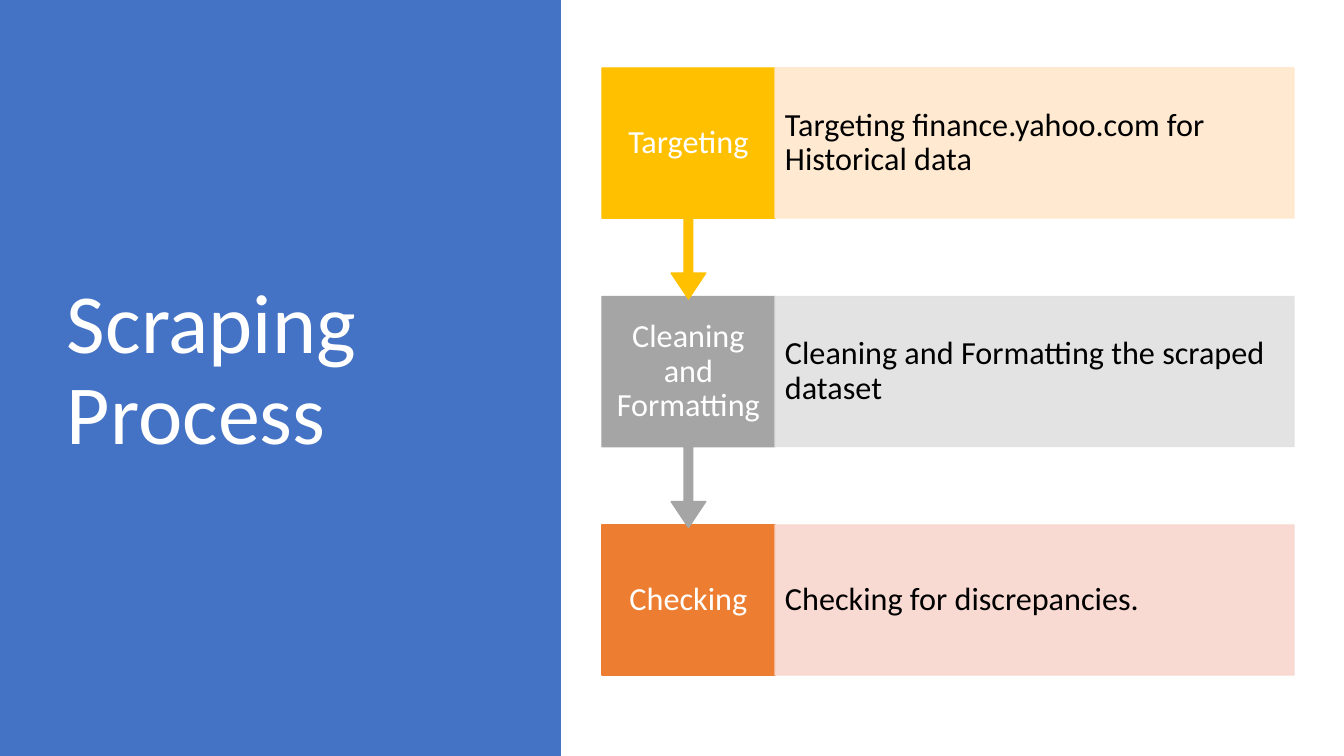
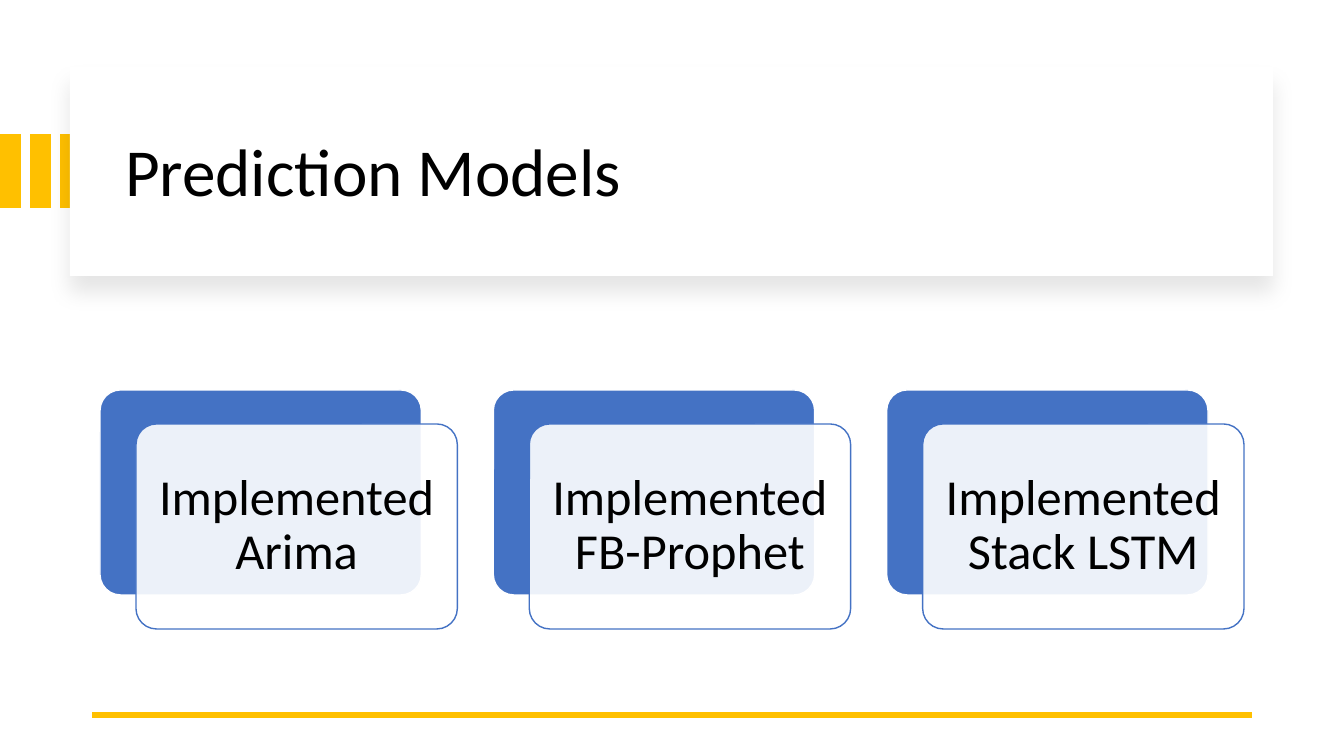
from dataclasses import dataclass

from lxml import etree
from pptx import Presentation
from pptx.dml.color import RGBColor
from pptx.enum.shapes import MSO_CONNECTOR, MSO_SHAPE
from pptx.enum.text import MSO_ANCHOR, MSO_AUTO_SIZE, PP_ALIGN
from pptx.oxml.ns import qn
from pptx.util import Emu, Pt

RECT = MSO_SHAPE.RECTANGLE
ROUND_RECT = MSO_SHAPE.ROUNDED_RECTANGLE
ARROW_BOX = MSO_SHAPE.DOWN_ARROW_CALLOUT
STRAIGHT = MSO_CONNECTOR.STRAIGHT
MIDDLE = MSO_ANCHOR.MIDDLE
LEFT, CENTER = PP_ALIGN.LEFT, PP_ALIGN.CENTER
NO_FIT = MSO_AUTO_SIZE.NONE

PX_PER_INCH = 100.8
SLIDE_W, SLIDE_H = 1344, 756
TITLE_ONLY = 5


@dataclass(frozen=True)
class Theme:
    font: str = "Calibri"
    blue: str = "4472C4"
    gold: str = "FFC000"
    grey: str = "A5A5A5"
    orange: str = "ED7D31"
    pale_gold: str = "FFE8CC"
    pale_grey: str = "E1E1E1"
    pale_orange: str = "F8D7CE"
    white: str = "FFFFFF"
    black: str = "000000"
    side_title: int = 60
    top_title: int = 48
    card: int = 36
    step: int = 23
    outline: float = 1
    rule: float = 4.5
    line_spacing: float = 0.9


THEME = Theme()

STEPS = [
    ("Targeting", "Targeting finance.yahoo.com for Historical data",
     THEME.gold, THEME.pale_gold),
    ("Cleaning and Formatting", "Cleaning and Formatting the scraped dataset",
     THEME.grey, THEME.pale_grey),
    ("Checking", "Checking for discrepancies.",
     THEME.orange, THEME.pale_orange),
]
MODELS = ["Implemented Arima", "Implemented FB-Prophet", "Implemented Stack LSTM"]


# Shared helpers
def px(n):
    return Emu(round(n * 914400 / PX_PER_INCH))


def set_attrs(obj, values):
    for name, value in values.items():
        setattr(obj, name, value)


def set_alpha(color_format, percent):
    color = color_format._xFill.find(qn("a:srgbClr"))
    etree.SubElement(color, qn("a:alpha"), val=str(percent * 1000))


def add_box(slide, kind, box, fill, line=None, alpha=None, adj=()):
    sp = slide.shapes.add_shape(kind, *map(px, box))
    sp.shadow.inherit = False
    for i, value in enumerate(adj):
        sp.adjustments[i] = value
    sp.fill.solid()
    sp.fill.fore_color.rgb = RGBColor.from_string(fill)
    if alpha:
        set_alpha(sp.fill.fore_color, alpha)
    if line:
        sp.line.color.rgb = RGBColor.from_string(line)
        sp.line.width = Pt(THEME.outline)
    else:
        sp.line.fill.background()
    return sp


def put_text(sp, text, size, color, align=LEFT, inset=(10, 5)):
    tf = sp.text_frame
    x, y = map(px, inset)
    set_attrs(tf, {"word_wrap": True, "auto_size": NO_FIT,
                   "vertical_anchor": MIDDLE, "margin_left": x,
                   "margin_right": x, "margin_top": y, "margin_bottom": y})
    p = tf.paragraphs[0]
    set_attrs(p, {"alignment": align, "line_spacing": THEME.line_spacing})
    r = p.add_run()
    r.text = text
    set_attrs(r.font, {"name": THEME.font, "size": Pt(size)})
    r.font.color.rgb = RGBColor.from_string(color)


def put_title(slide, box, text, size, color):
    title = slide.shapes.title
    set_attrs(title, dict(zip(("left", "top", "width", "height"), map(px, box))))
    put_text(title, text, size, color)
    # Bring the title in front of the panel drawn before it
    title.element.getparent().append(title.element)


def add_shadow(sp, blur, dist, alpha):
    effects = sp.element.spPr.find(qn("a:effectLst"))
    shadow = etree.SubElement(effects, qn("a:outerShdw"), blurRad=str(Pt(blur)),
                              dist=str(Pt(dist)), dir="5400000", algn="t",
                              rotWithShape="0")
    color = etree.SubElement(shadow, qn("a:srgbClr"), val=THEME.black)
    etree.SubElement(color, qn("a:alpha"), val=str(alpha * 1000))


# Process slide
def add_side_panel(slide, box, text):
    x, y, w, h = box
    add_box(slide, RECT, box, THEME.blue)
    put_title(slide, (x + 57, y + 68, w - 142, h - 149), text,
              THEME.side_title, THEME.white)


def add_steps(slide, box, steps):
    x, y, w, h = box
    row_h, label_w, arrow_h = 150, w // 4, 231
    pitch = (h - row_h) / (len(steps) - 1)
    # Last row first, so that each arrow tip lies over the row below
    for i, (label, detail, color, pale) in reversed(list(enumerate(steps))):
        top = y + i * pitch
        if i == len(steps) - 1:
            sp = add_box(slide, RECT, (x, top, label_w, row_h), color, color)
        else:
            sp = add_box(slide, ARROW_BOX, (x, top, label_w, arrow_h), color,
                         color, adj=(0.05, 0.1, 0.15, 0.65))
        put_text(sp, label, THEME.step, THEME.white, CENTER, (12, 18))
        sp = add_box(slide, RECT, (x + label_w, top, w - label_w, row_h),
                     pale, pale, alpha=90)
        set_alpha(sp.line.color, 90)
        put_text(sp, detail, THEME.step, THEME.black, LEFT, (10, 32))


def process_slide(prs):
    slide = prs.slides.add_slide(prs.slide_layouts[TITLE_ONLY])
    add_side_panel(slide, (0, 0, 561, SLIDE_H), "Scraping Process")
    add_steps(slide, (602, 68, 692, 607), STEPS)


# Models slide
def add_title_card(slide, box, text):
    x, y, w, h = box
    for i in range(3):
        add_box(slide, RECT, (30 * i, y + 67, 21, 74), THEME.gold)
    sp = add_box(slide, RECT, box, THEME.white)
    add_shadow(sp, blur=15, dist=11, alpha=10)
    put_title(slide, (x + 45, y + 22, w - 81, h - 37), text,
              THEME.top_title, THEME.black)


def add_rule(slide, x, y, w):
    line = slide.shapes.add_connector(STRAIGHT, px(x + w), px(y), px(x), px(y))
    line.line.color.rgb = RGBColor.from_string(THEME.gold)
    line.line.width = Pt(THEME.rule)
    etree.SubElement(line.element.spPr, qn("a:effectLst"))


def add_model_cards(slide, box, models):
    x, y, w, h = box
    dx, dy = 36, 34
    gap = 36
    pitch = (w + gap) / len(models)
    card_w, card_h = pitch - gap - dx, h - dy
    for i, model in enumerate(models):
        left = x + i * pitch
        add_box(slide, ROUND_RECT, (left, y, card_w, card_h),
                THEME.blue, THEME.white, adj=(0.1,))
        sp = add_box(slide, ROUND_RECT, (left + dx, y + dy, card_w, card_h),
                     THEME.white, THEME.blue, alpha=90, adj=(0.1,))
        put_text(sp, model, THEME.card, THEME.black, CENTER, (15, 15))


def models_slide(prs):
    slide = prs.slides.add_slide(prs.slide_layouts[TITLE_ONLY])
    add_title_card(slide, (70, 67, 1203, 209), "Prediction Models")
    add_rule(slide, 92, 715, 1160)
    add_model_cards(slide, (100, 390, 1144, 239), MODELS)


def main():
    prs = Presentation()
    prs.slide_width, prs.slide_height = px(SLIDE_W), px(SLIDE_H)
    process_slide(prs)
    models_slide(prs)
    prs.save("out.pptx")


if __name__ == "__main__":
    main()
